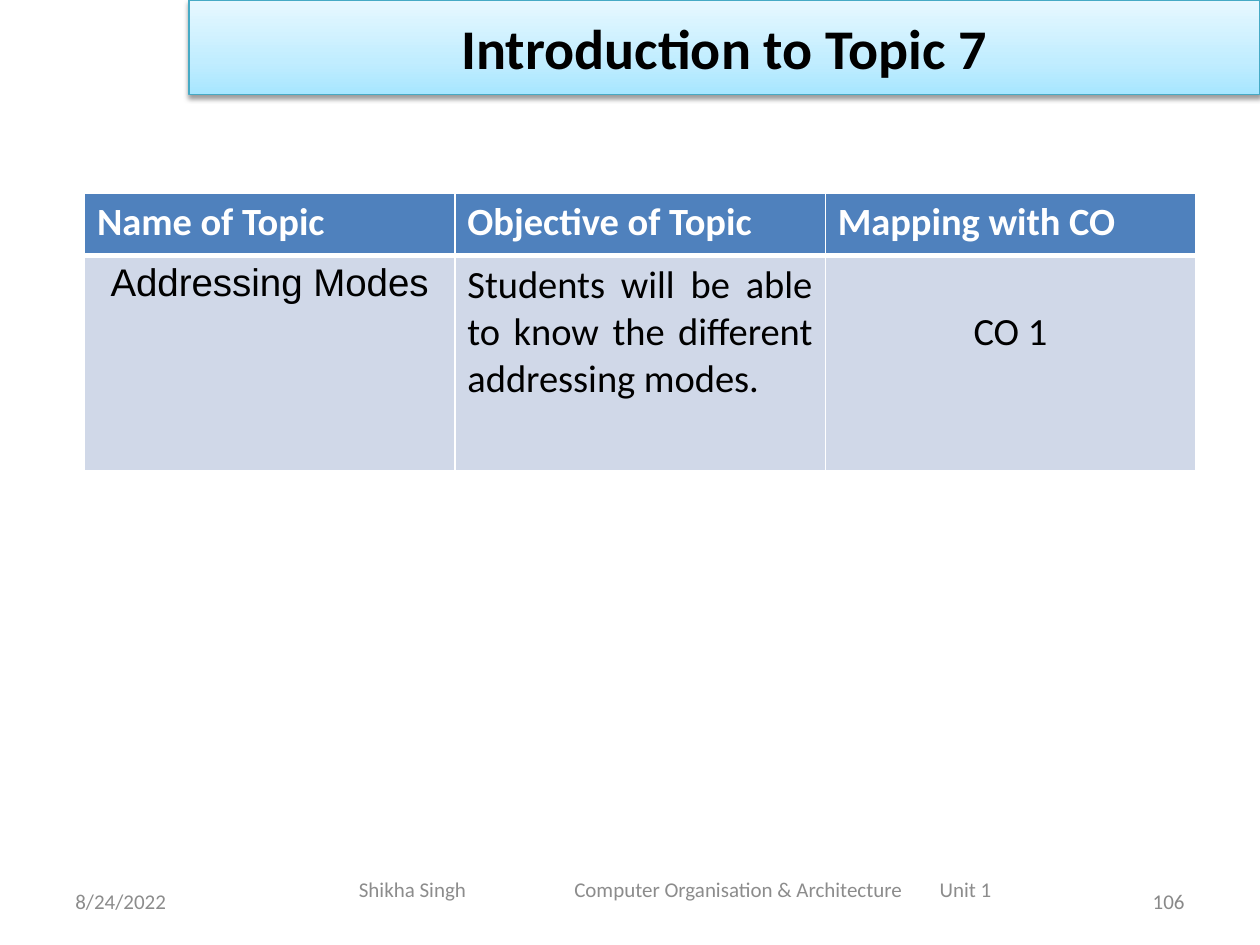
from copy import deepcopy
from lxml import etree
from pptx import Presentation
from pptx.dml.color import RGBColor
from pptx.enum import shapes, text
from pptx.oxml import parse_xml
from pptx.oxml.ns import qn
from pptx.util import Inches, Pt

NS = 'xmlns:a="http://schemas.openxmlformats.org/drawingml/2006/main"'
AL = text.PP_ALIGN
rgb = RGBColor.from_string


def write(frame, words, size, color, align=AL.LEFT, bold=False, face="Calibri"):
    para = frame.paragraphs[0]
    para.alignment = align
    run = para.add_run()
    run.text = words
    run.font.size = Pt(size)
    run.font.name = face
    run.font.bold = bold
    run.font.color.rgb = rgb(color)
    return para


deck = Presentation()
deck.slide_width, deck.slide_height = Inches(10), Inches(7.5)
slide = deck.slides.add_slide(deck.slide_layouts[6])

footer = [
    (0.5, 6.95, 2.33, "8/24/2022", "8C8C8C", AL.LEFT, []),
    (2.75, 6.86, 5.5, "Shikha Singh\tComputer Organisation & Architecture\tUnit 1",
     "8C8C8C", AL.LEFT, [1.71, 4.61]),
    (7.17, 6.95, 2.33, "106", "898989", AL.RIGHT, []),
]
for left, top, width, words, color, align, tabs in footer:
    box = slide.shapes.add_textbox(Inches(left), Inches(top), Inches(width), Inches(0.4))
    frame = box.text_frame
    frame.word_wrap = True
    frame.vertical_anchor = text.MSO_ANCHOR.MIDDLE
    para = write(frame, words, 12, color, align)
    if tabs:
        stops = etree.SubElement(para._p.get_or_add_pPr(), qn("a:tabLst"))
        for stop in tabs:
            etree.SubElement(stops, qn("a:tab"), pos=str(Inches(stop)), algn="l")

title = slide.shapes.add_shape(
    shapes.MSO_SHAPE.RECTANGLE, Inches(1.5), 0, Inches(8.5), Inches(0.75))
title.fill.gradient()
title.fill.gradient_angle = 90
stops = title.fill._fill._gradFill.gsLst
stops.append(deepcopy(stops[0]))
shades = [(0, "A7E6FF"), (0.35, "C1EDFF"), (1, "E7F8FF")]
for stop, (place, color) in zip(title.fill.gradient_stops, shades):
    stop.position = place
    stop.color.rgb = rgb(color)
title.line.color.rgb = rgb("46AAC5")
title.line.width = Pt(0.75)
title.shadow.inherit = False
glow = title._element.spPr.find(qn("a:effectLst"))
glow.append(parse_xml(
    f'<a:outerShdw {NS} blurRad="{Pt(3.1)}" dist="{Pt(1.6)}" dir="5400000" rotWithShape="0">'
    '<a:srgbClr val="000000"><a:alpha val="38000"/></a:srgbClr></a:outerShdw>'))
title.text_frame.vertical_anchor = text.MSO_ANCHOR.MIDDLE
write(title.text_frame, "Introduction to Topic 7", 32, "000000", AL.CENTER, True)

table = slide.shapes.add_table(
    2, 3, Inches(0.67), Inches(1.53), Inches(8.83), Inches(2.21)).table
for col in table.columns:
    col.width = Inches(2.94)
for row, height in zip(table.rows, [0.5, 1.71]):
    row.height = Inches(height)

heads = ["Name of Topic", "Objective of Topic", "Mapping with CO"]
body = [
    ("Addressing Modes", AL.CENTER, "Arial"),
    ("Students will be able to know the different addressing modes.", AL.JUSTIFY, "Calibri"),
    ("CO 1", AL.CENTER, "Calibri"),
]
looks = [("4F81BD", {"L": 1, "R": 1, "T": 1, "B": 3}),
         ("D0D8E8", {"L": 1, "R": 1, "T": 3, "B": 1})]
for row, (color, edges) in zip(table.rows, looks):
    for cell in row.cells:
        props = cell._tc.get_or_add_tcPr()
        for side, width in edges.items():
            props.append(parse_xml(
                f'<a:ln{side} {NS} w="{Pt(width)}"><a:solidFill>'
                f'<a:srgbClr val="FFFFFF"/></a:solidFill></a:ln{side}>'))
        cell.fill.solid()
        cell.fill.fore_color.rgb = rgb(color)
for col, (head, (words, align, face)) in enumerate(zip(heads, body)):
    write(table.cell(0, col).text_frame, head, 22, "FFFFFF", bold=True)
    write(table.cell(1, col).text_frame, words, 22, "000000", align, face=face)
table.cell(1, 2).margin_top = Inches(0.42)

deck.save("out.pptx")
